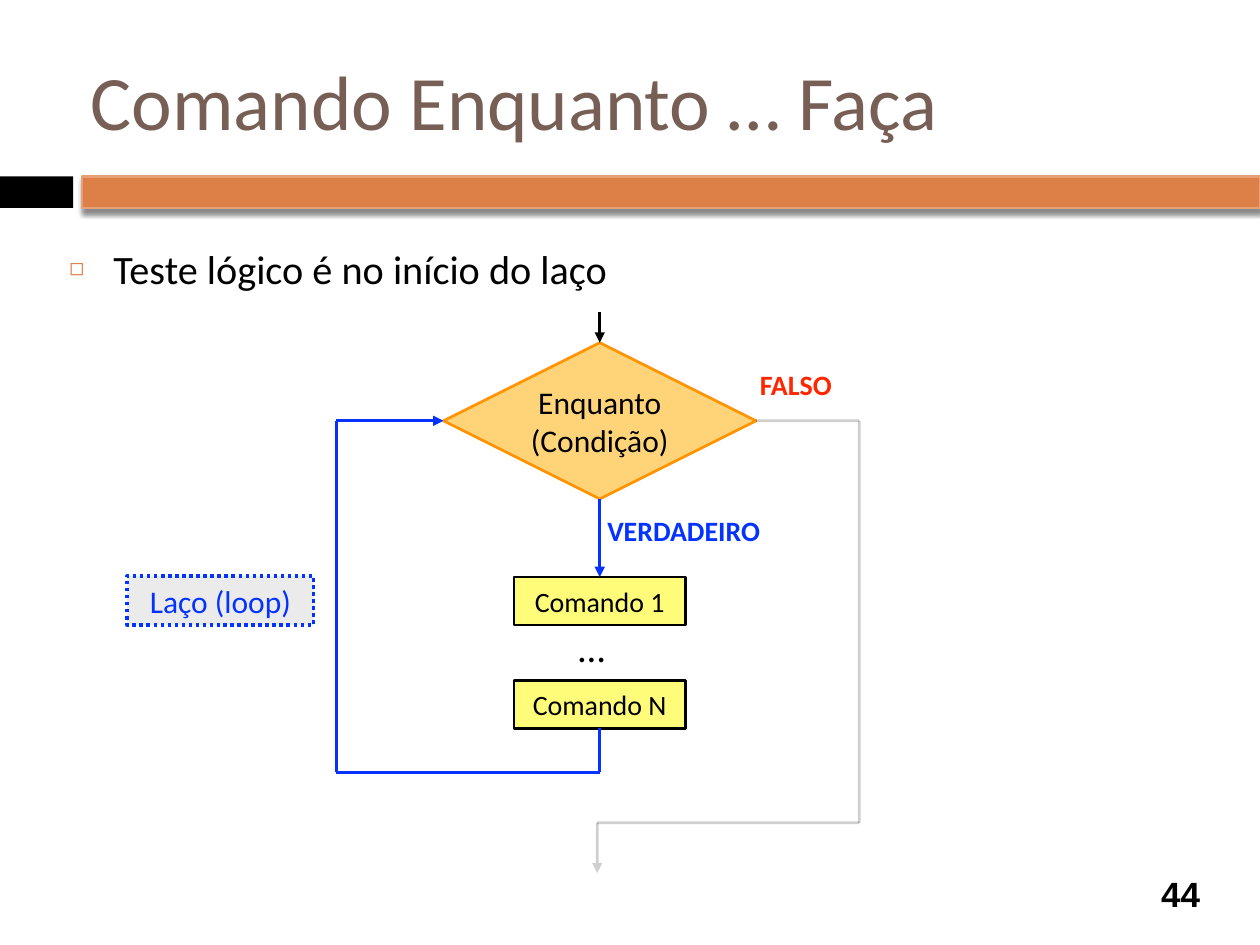
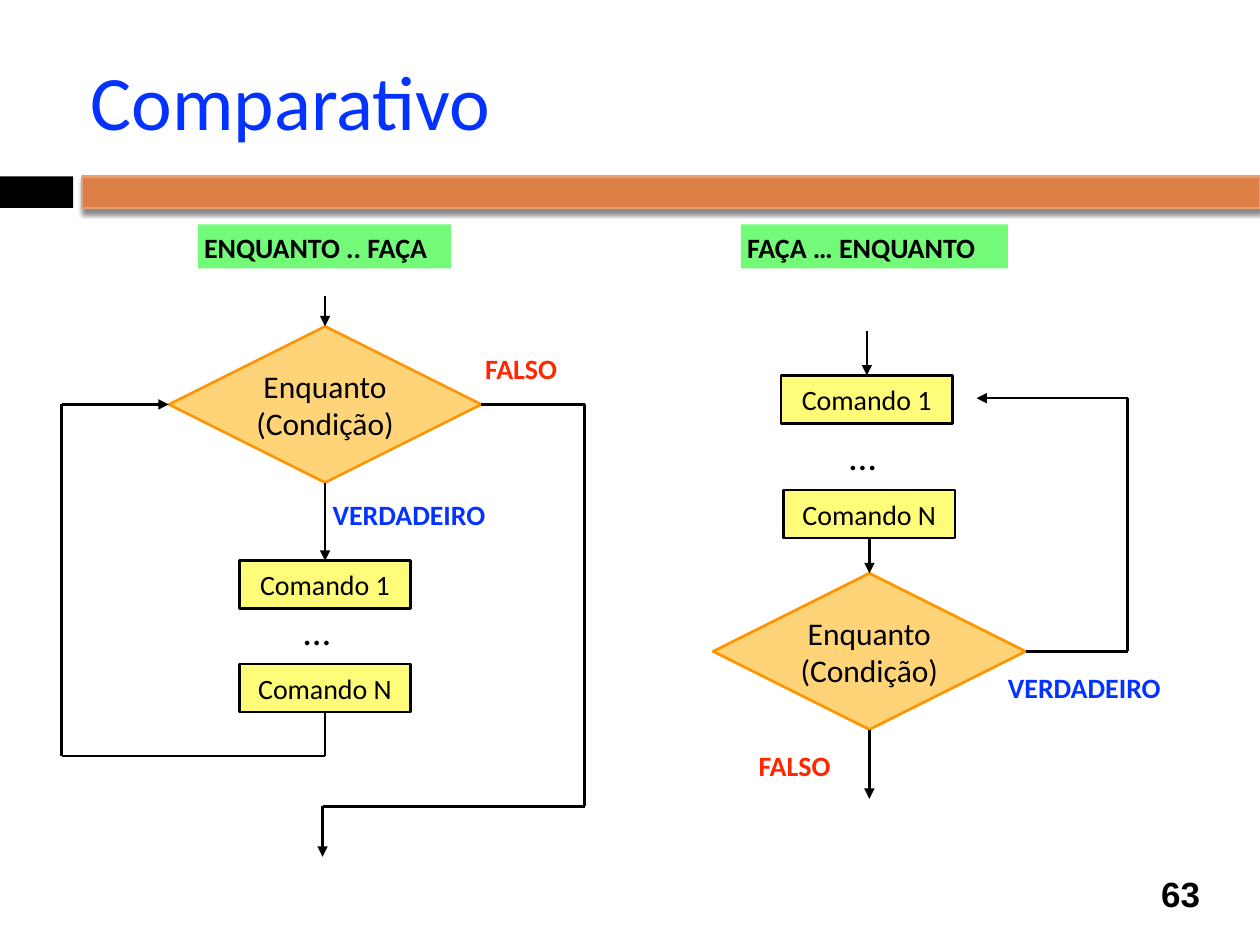
from lxml import etree
from pptx import Presentation
from pptx import util as u
from pptx.dml.color import RGBColor
from pptx.enum import dml, shapes, text
from pptx.oxml.ns import qn

BLACK, BLUE, RED = "000000", "0433FF", "FF2600"
BROWN, ORANGE, BAND_EDGE = "775F55", "DD8047", "E5A075"
AMBER, AMBER_EDGE, YELLOW = "FFD479", "FF9300", "FFFC79"
GREEN, GREY = "73FA79", "EBEBEB"
MIDDLE, TOP = text.MSO_ANCHOR.MIDDLE, text.MSO_ANCHOR.TOP
LEFT, CENTER = text.PP_ALIGN.LEFT, text.PP_ALIGN.CENTER
RECT, DIAMOND = shapes.MSO_SHAPE.RECTANGLE, shapes.MSO_SHAPE.DIAMOND
SIDE_TOP, SIDE_LEFT, SIDE_BOTTOM, SIDE_RIGHT = range(4)
BOX_W, BOX_H = 1.36, 0.38
DIAMOND_W, DIAMOND_H = 2.48, 1.24


def rgb(value):
    return RGBColor.from_string(value)


def add_xml(parent, tag, **attrs):
    return etree.SubElement(parent, qn(tag), attrs)


class Deck:
    """Holds the shared style and the current slide."""

    def __init__(self):
        self.prs = Presentation()
        self.prs.slide_width, self.prs.slide_height = u.Inches(10), u.Inches(7.5)

    def new_slide(self, title, number, color, layout):
        self.s = self.prs.slides.add_slide(self.prs.slide_layouts[layout])
        self.shape(RECT, (0, 1.4, 0.58, 0.25), BLACK)
        band = self.shape(RECT, (0.65, 1.4, 9.35, 0.25), ORANGE, BAND_EDGE)
        effects = band._element.spPr.find(qn("a:effectLst"))
        shadow = add_xml(effects, "a:outerShdw", blurRad=str(u.Pt(3)), dist=str(u.Pt(2.4)),
                         dir="5400000", rotWithShape="0")
        add_xml(add_xml(shadow, "a:srgbClr", val=BLACK), "a:alpha", val="45000")
        self.place(self.s.shapes.title, (0.67, 0.25, 8.92, 1.08))
        self.set_text(self.s.shapes.title, [title], 44, color, anchor=MIDDLE)
        self.label(str(number), (9.08, 6.89, 0.58, 0.41), 20, BLACK, True,
                   font="Arial", align=CENTER, anchor=MIDDLE)

    def place(self, sp, box):
        for name, value in zip(("left", "top", "width", "height"), box):
            setattr(sp, name, u.Inches(value))

    def set_text(self, sp, lines, size, color, bold=False, font="Calibri", align=LEFT,
                 anchor=TOP):
        tf = sp.text_frame
        frame_format = {"word_wrap": True, "auto_size": text.MSO_AUTO_SIZE.NONE,
                        "vertical_anchor": anchor}
        frame_format |= {f"margin_{side}": u.Inches(0.05)
                         for side in ("left", "top", "right", "bottom")}
        for name, value in frame_format.items():
            setattr(tf, name, value)
        for i, line in enumerate(lines):
            p = tf.add_paragraph() if i else tf.paragraphs[0]
            p.alignment = align
            r = p.add_run()
            r.text = line
            for name, value in {"size": u.Pt(size), "name": font, "bold": bold}.items():
                setattr(r.font, name, value)
            r.font.color.rgb = rgb(color)

    def bullets(self, lines, box):
        body = self.s.placeholders[1]
        self.place(body, box)
        self.set_text(body, lines, 23, BLACK)
        for p in body.text_frame.paragraphs:
            p.space_before = u.Pt(7)
            pPr = p._p.get_or_add_pPr()
            pPr.set("marL", str(u.Inches(0.35)))
            pPr.set("indent", str(u.Inches(-0.35)))
            add_xml(add_xml(pPr, "a:buClr"), "a:srgbClr", val=ORANGE)
            add_xml(pPr, "a:buSzPct", val="60000")
            add_xml(pPr, "a:buChar", char="◻")

    def shape(self, kind, box, fill, line=None, width=1.5, dash=None):
        sp = self.s.shapes.add_shape(kind, *map(u.Inches, box))
        sp.fill.solid()
        sp.fill.fore_color.rgb = rgb(fill)
        if line:
            sp.line.color.rgb = rgb(line)
            sp.line.width = u.Pt(width)
            if dash:
                sp.line.dash_style = dash
        else:
            sp.line.fill.background()
        sp.shadow.inherit = False
        return sp

    def label(self, words, box, size, color, bold=False, **style):
        sp = self.s.shapes.add_textbox(*map(u.Inches, box))
        self.set_text(sp, [words], size, color, bold, **style)

    def true_label(self, x, y):
        self.label("VERDADEIRO", (x, y, 1.36, 0.35), 16, BLUE, True)

    def false_label(self, x, y):
        self.label("FALSO", (x, y, 0.72, 0.35), 16, RED, True)

    def ellipsis(self, x, y):
        self.label("…", (x, y, 0.42, 0.43), 22, BLACK)

    def heading(self, words, x, width):
        sp = self.shape(RECT, (x, 1.78, width, 0.35), GREEN)
        self.set_text(sp, [words], 16, BLACK, True)

    def command(self, words, x, y):
        sp = self.shape(RECT, (x - BOX_W / 2, y, BOX_W, BOX_H), YELLOW, BLACK)
        self.set_text(sp, [words], 16, BLACK, align=CENTER, anchor=MIDDLE)
        return sp

    def condition(self, x, y):
        sp = self.shape(DIAMOND, (x - DIAMOND_W / 2, y, DIAMOND_W, DIAMOND_H), AMBER, AMBER_EDGE)
        self.set_text(sp, ["Enquanto", "(Condição)"], 18, BLACK, align=CENTER, anchor=MIDDLE)
        sp.text_frame.word_wrap = False
        return sp

    def route(self, points, color=BLACK, start=None, end=None, alpha=None):
        last = len(points) - 2
        for i, (a, b) in enumerate(zip(points, points[1:])):
            cn = self.s.shapes.add_connector(shapes.MSO_CONNECTOR.STRAIGHT,
                                             *map(u.Inches, (*a, *b)))
            if start and i == 0:
                cn.begin_connect(*start)
            if end and i == last:
                cn.end_connect(*end)
            cn.line.color.rgb = rgb(color)
            cn.line.width = u.Pt(1.5)
            ln = cn.line._get_or_add_ln()
            if alpha:
                add_xml(ln.find(".//" + qn("a:srgbClr")), "a:alpha", val=str(alpha * 1000))
            if i == last:
                add_xml(ln, "a:tailEnd", type="triangle")
            add_xml(cn._element.spPr, "a:effectLst")

    def while_flow(self, x, y, loop_color, exit_alpha=None):
        test = self.condition(x, y)
        first = self.command("Comando 1", x, y + 1.86)
        final = self.command("Comando N", x, y + 2.68)
        self.ellipsis(x - 0.22, y + 2.18)
        self.false_label(x + 1.22, y + 0.15)
        self.true_label(x + 0.01, y + 1.31)
        mid, loop_x, exit_x = y + DIAMOND_H / 2, x - 2.09, x + 2.06
        loop_y, exit_y = y + 3.41, y + 3.81
        self.route([(x, y - 0.24), (x, y)], end=(test, SIDE_TOP))
        self.route([(x, y + DIAMOND_H), (x, y + 1.86)], loop_color,
                   (test, SIDE_BOTTOM), (first, SIDE_TOP))
        self.route([(x, y + 3.06), (x, loop_y), (loop_x, loop_y), (loop_x, mid),
                    (x - DIAMOND_W / 2, mid)], loop_color,
                   (final, SIDE_BOTTOM), (test, SIDE_LEFT))
        self.route([(x + DIAMOND_W / 2, mid), (exit_x, mid), (exit_x, exit_y),
                    (x - 0.02, exit_y), (x - 0.02, y + 4.21)],
                   start=(test, SIDE_RIGHT), alpha=exit_alpha)

    def do_while_flow(self, x, y):
        first = self.command("Comando 1", x - 0.02, y)
        final = self.command("Comando N", x, y + 0.91)
        test = self.condition(x, y + 1.57)
        self.ellipsis(x - 0.21, y + 0.4)
        self.true_label(x + 1.05, y + 2.29)
        self.false_label(x - 0.93, y + 2.91)
        mid, loop_x, loop_y = y + 2.19, x + 2.05, y + 0.18
        self.route([(x - 0.02, y - 0.35), (x - 0.02, y)], end=(first, SIDE_TOP))
        self.route([(x, y + 1.29), (x, y + 1.57)],
                   start=(final, SIDE_BOTTOM), end=(test, SIDE_TOP))
        self.route([(x, y + 2.81), (x, y + 3.36)], start=(test, SIDE_BOTTOM))
        self.route([(x + DIAMOND_W / 2, mid), (loop_x, mid), (loop_x, loop_y),
                    (x + 0.85, loop_y)], start=(test, SIDE_RIGHT))


def main():
    deck = Deck()

    deck.new_slide("Comando Enquanto … Faça", 44, BROWN, layout=1)
    deck.bullets(["Teste lógico é no início do laço"], (0.5, 1.89, 9, 0.93))
    deck.while_flow(4.76, 2.72, BLUE, exit_alpha=19)
    loop = deck.shape(RECT, (1.01, 4.57, 1.48, 0.39), GREY, BLUE, 2, dml.MSO_LINE.ROUND_DOT)
    deck.set_text(loop, ["Laço (loop)"], 18, BLUE, align=CENTER)

    deck.new_slide("Comparativo", 63, BLUE, layout=5)
    deck.heading("ENQUANTO .. FAÇA", 1.57, 2.01)
    deck.heading("FAÇA … ENQUANTO", 5.88, 2.12)
    deck.while_flow(2.58, 2.59, BLACK)
    deck.do_while_flow(6.9, 2.98)

    deck.prs.save("out.pptx")


if __name__ == "__main__":
    main()
